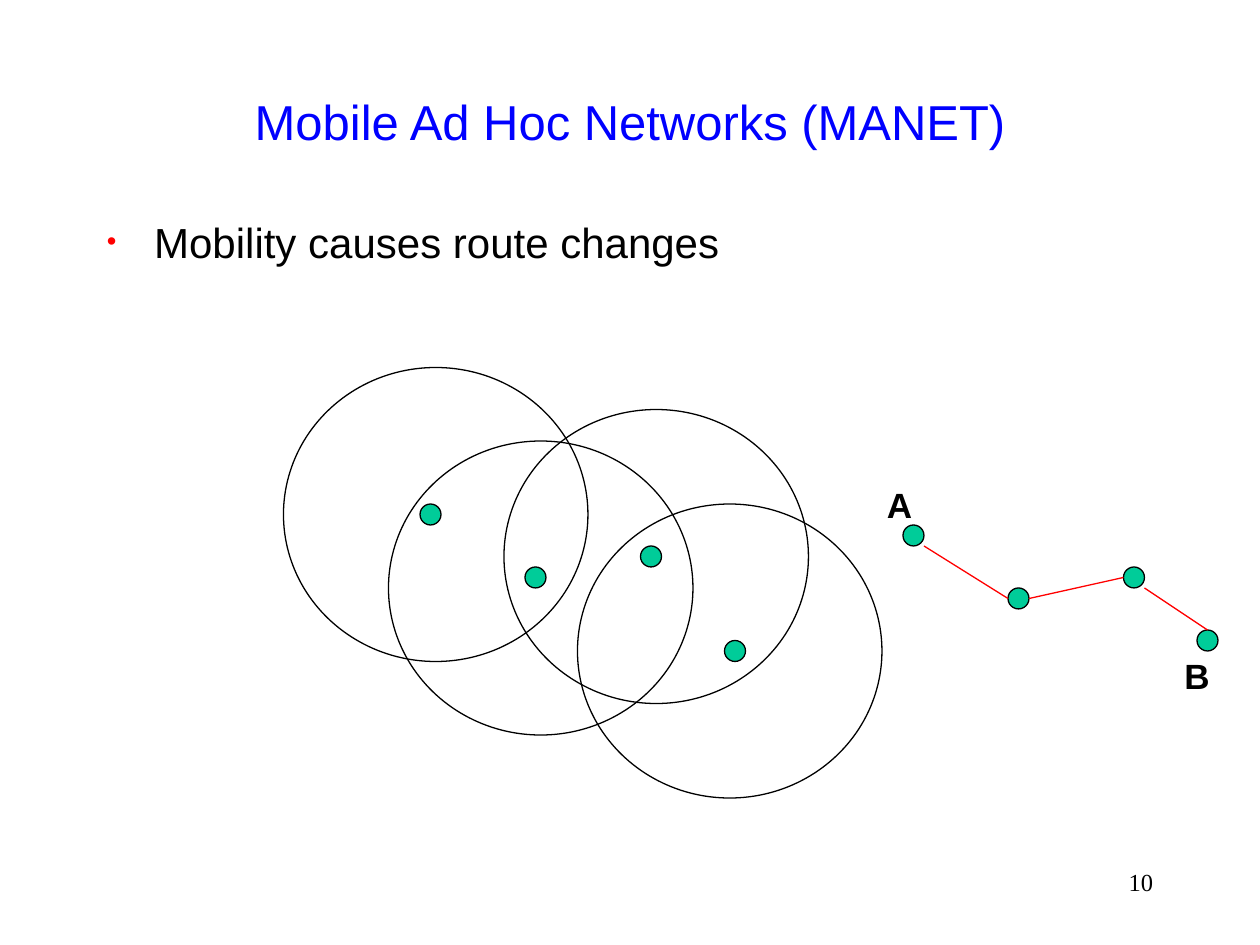
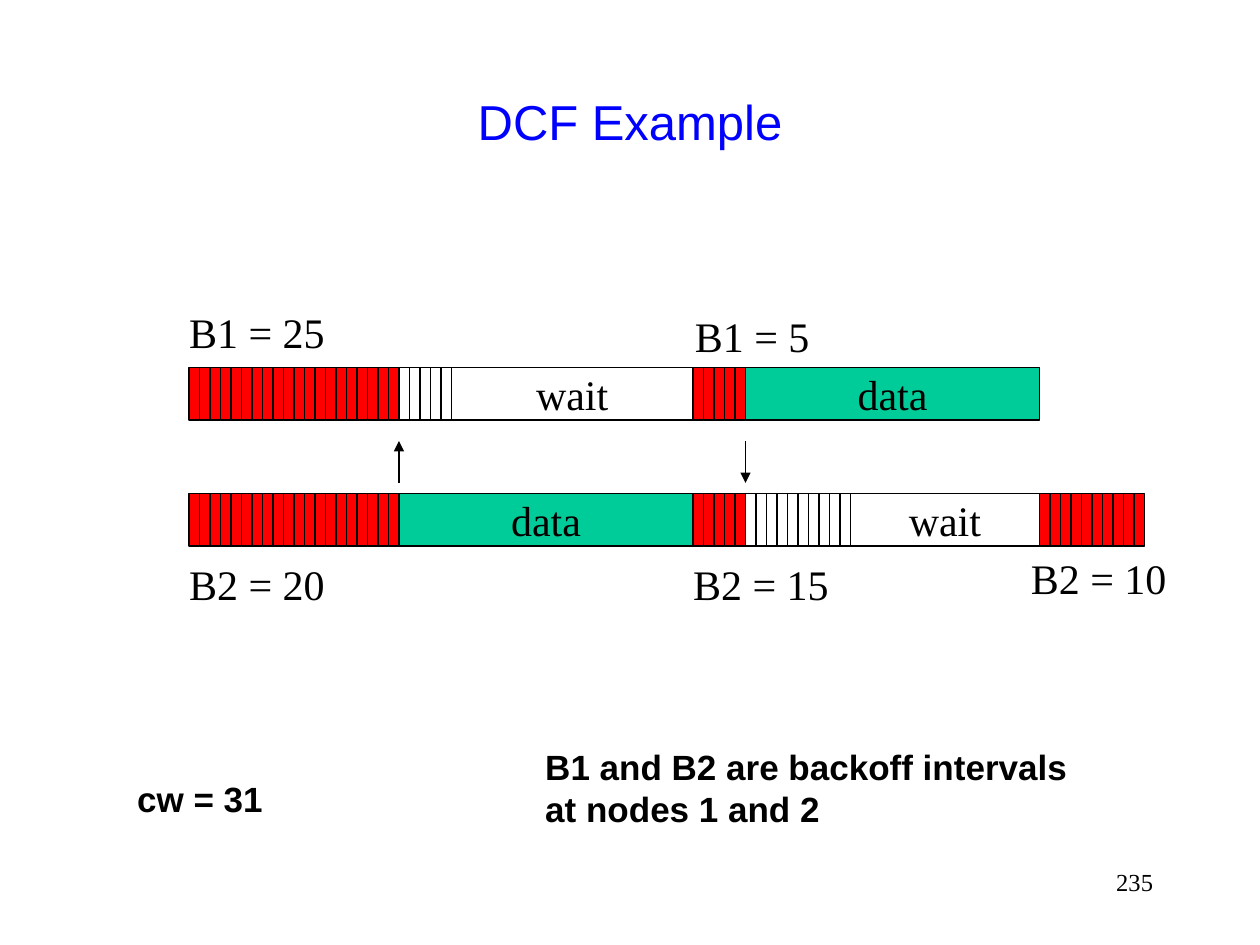
from lxml import etree
from pptx import Presentation
from pptx.dml.color import RGBColor
from pptx.enum import shapes, text
from pptx.oxml import ns
from pptx.util import Pt

BLACK, WHITE, RED, GREEN, BLUE = "000000", "FFFFFF", "FF0000", "00CC99", "0000FF"
SANS, SERIF = "Arial", "Times New Roman"
LEFT, CENTER, RIGHT = text.PP_ALIGN.LEFT, text.PP_ALIGN.CENTER, text.PP_ALIGN.RIGHT
TOP, MIDDLE = text.MSO_ANCHOR.TOP, text.MSO_ANCHOR.MIDDLE
OVAL, RECT = shapes.MSO_SHAPE.OVAL, shapes.MSO_SHAPE.RECTANGLE

TITLE_BOX = (54, 24, 612, 90)
BODY_BOX = (54, 120, 612, 360)
NUMBER_BOX = (516, 492, 150, 36)

RING_W, RING_H, NODE = 174, 168, 12
SLOT_W, BAR_H, ROW_STEP = 6, 30, 72


def color(hex_code):
    return RGBColor.from_string(hex_code)


def add_xml(parent, tag, **attributes):
    return etree.SubElement(parent, ns.qn(tag), attributes)


def write(shape, lines, size, font, tint=BLACK, bold=False, align=LEFT,
          anchor=TOP, wrap=False):
    frame = shape.text_frame
    frame.word_wrap = wrap
    frame.vertical_anchor = anchor
    for index, line in enumerate(lines):
        paragraph = frame.add_paragraph() if index else frame.paragraphs[0]
        paragraph.alignment = align
        run = paragraph.add_run()
        run.text = line
        run.font.size = Pt(size)
        run.font.name = font
        run.font.bold = bold
        run.font.color.rgb = color(tint)


def add_text(slide, box, *lines, **style):
    """Add a text box; one that does not wrap grows to fit its lines."""
    label = slide.shapes.add_textbox(*map(Pt, box))
    write(label, lines, **style)
    if not label.text_frame.word_wrap:
        label.text_frame.auto_size = text.MSO_AUTO_SIZE.SHAPE_TO_FIT_TEXT
    return label


def add_outline(slide, kind, box, fill=None):
    """Add a preset shape with a thin black line and an optional fill."""
    shape = slide.shapes.add_shape(kind, *map(Pt, box))
    shape.shadow.inherit = False
    if fill:
        shape.fill.solid()
        shape.fill.fore_color.rgb = color(fill)
    else:
        shape.fill.background()
    shape.line.color.rgb = color(BLACK)
    shape.line.width = Pt(0.75)
    return shape


def add_line(slide, start, end, tint, arrow=False):
    line = slide.shapes.add_connector(
        shapes.MSO_CONNECTOR.STRAIGHT, *map(Pt, (*start, *end)))
    line.line.color.rgb = color(tint)
    line.line.width = Pt(0.75)
    if arrow:
        add_xml(line.line._get_or_add_ln(), "a:tailEnd", type="triangle")
    add_xml(line._element.spPr, "a:effectLst")


def add_page(deck, title, number):
    """Add a blank slide with the shared title and slide number."""
    slide = deck.slides.add_slide(deck.slide_layouts[6])
    add_text(slide, TITLE_BOX, title, size=28, font=SANS, tint=BLUE,
             align=CENTER, anchor=MIDDLE, wrap=True)
    add_text(slide, NUMBER_BOX, number, size=14, font=SERIF, align=RIGHT, wrap=True)
    return slide


def add_bullet(slide, box, statement):
    body = add_text(slide, box, statement, size=24, font=SANS, wrap=True)
    paragraph = body.text_frame.paragraphs[0]
    paragraph.space_before = Pt(6)
    properties = paragraph._p.get_or_add_pPr()
    properties.set("marL", str(Pt(27)))
    properties.set("indent", str(-Pt(27)))
    add_xml(add_xml(properties, "a:buClr"), "a:srgbClr", val=RED)
    add_xml(properties, "a:buSzPct", val="65000")
    add_xml(properties, "a:buFont", typeface=SANS)
    add_xml(properties, "a:buChar", char="•")


def add_node(slide, x, y):
    add_outline(slide, OVAL, (x, y, NODE, NODE), GREEN)


def add_radio_ranges(slide, left, top):
    """Draw each node inside the overlapping circle that it can reach."""
    ranges = [  # circle corner, node corner, fill
        ((0, 0), (78, 78), WHITE),
        ((60, 42), (138, 114), None),
        ((126, 24), (204, 102), None),
        ((168, 78), (252, 156), None),
    ]
    for (x, y), _, fill in ranges:
        add_outline(slide, OVAL, (left + x, top + y, RING_W, RING_H), fill)
    for _, (x, y), _ in ranges:
        add_node(slide, left + x, top + y)


def add_route(slide, left, top):
    """Draw the multi-hop route from A to B."""
    hops = [(0, 0), (60, 36), (126, 24), (168, 60)]
    links = [((12, 12), (60, 42)), ((72, 42), (126, 30)), ((138, 36), (174, 60))]
    for x, y in hops:
        add_node(slide, left + x, top + y)
    for start, end in links:
        add_line(slide, *((left + x, top + y) for x, y in (start, end)), RED)
    for name, x, y in (("A", -16.5, -27), ("B", 153.5, 70.5)):
        add_text(slide, (left + x, top + y, 29, 31.5), name,
                 size=20, font=SANS, bold=True, align=CENTER)


def add_timeline(slide, left, top, phases):
    """Lay out phases in turn: counted slots, or one named bar of that many slots."""
    x = left
    for name, slots, fill in phases:
        if name:
            bar = add_outline(slide, RECT, (x, top, slots * SLOT_W, BAR_H), fill)
            write(bar, [name], size=24, font=SERIF, align=CENTER, anchor=MIDDLE)
        else:
            for slot in range(slots):
                add_outline(slide, RECT, (x + slot * SLOT_W, top, SLOT_W, BAR_H), fill)
        x += slots * SLOT_W


def add_backoff_diagram(slide, left, top):
    node_1 = [(None, 20, RED), (None, 5, None), ("wait", 23, None),
              (None, 5, RED), ("data", 28, GREEN)]
    node_2 = [(None, 20, RED), ("data", 28, GREEN), (None, 5, RED),
              (None, 10, None), ("wait", 18, None), (None, 10, RED)]
    for row, phases in enumerate((node_1, node_2)):
        add_timeline(slide, left, top + row * ROW_STEP, phases)

    intervals = [("B1 = 25", -7, -38.5, 92), ("B1 = 5", 282, -36, 80),
                 ("B2 = 20", -7, 105.5, 92), ("B2 = 15", 281, 105.5, 92),
                 ("B2 = 10", 474, 102, 92)]
    for interval, x, y, width in intervals:
        add_text(slide, (left + x, top + y, width, 36), interval, size=24, font=SERIF)

    upper, lower = top + 42, top + 66
    for slots, start, end in ((20, lower, upper), (53, upper, lower)):
        x = left + slots * SLOT_W
        add_line(slide, (x, start), (x, end), BLACK, arrow=True)


def add_backoff_notes(slide, left, top):
    note = dict(size=20, font=SANS, bold=True, anchor=MIDDLE)
    add_text(slide, (left, top + 18, 86.5, 31.5), "cw = 31", align=CENTER, **note)
    add_text(slide, (left + 233.5, top, 313, 55.5),
             "B1 and B2 are backoff intervals", "at nodes 1 and 2", **note)


def main():
    deck = Presentation()
    deck.slide_width, deck.slide_height = Pt(720), Pt(540)

    manet = add_page(deck, "Mobile Ad Hoc Networks (MANET)", "10")
    add_bullet(manet, BODY_BOX, "Mobility causes route changes")
    add_radio_ranges(manet, 162, 210)
    add_route(manet, 516, 300)

    dcf = add_page(deck, "DCF Example", "235")
    add_backoff_diagram(dcf, 108, 210)
    add_backoff_notes(dcf, 71, 422.5)

    deck.save("out.pptx")


if __name__ == "__main__":
    main()
